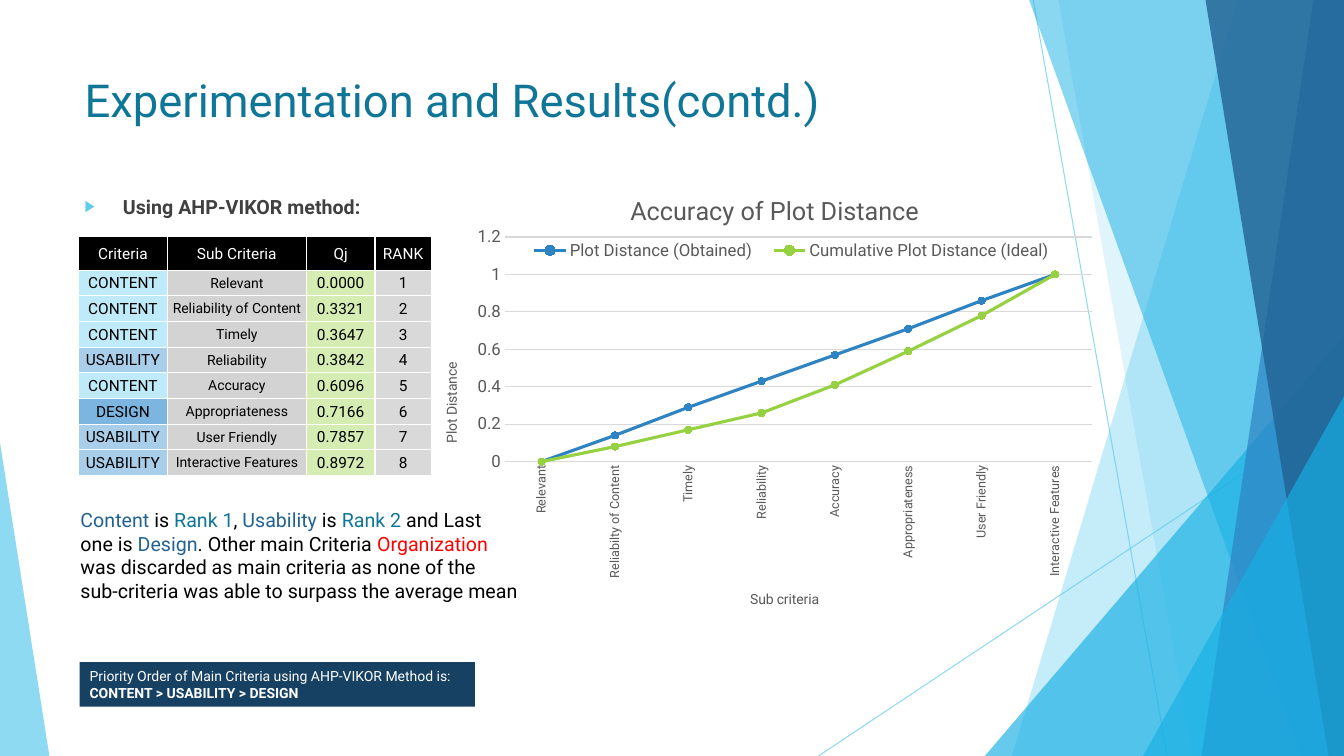
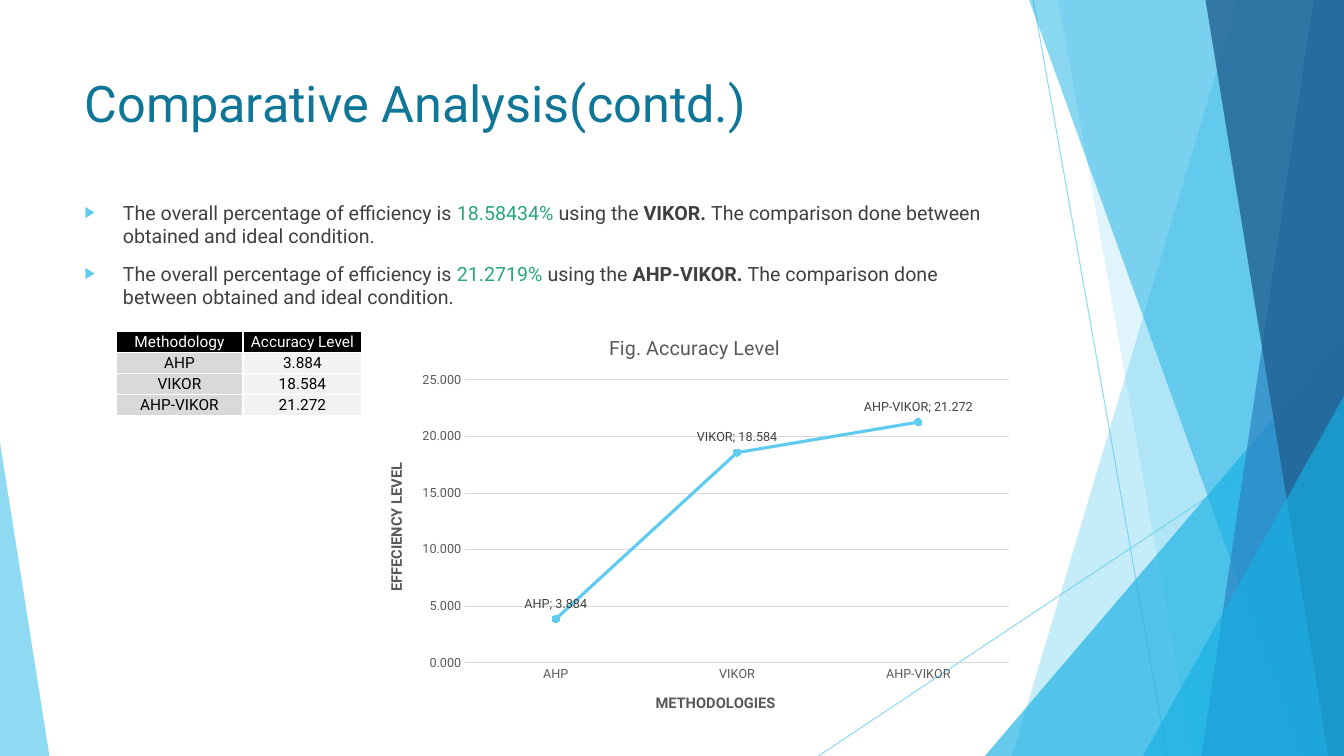
import collections

import pptx
import pptx.chart.data
import pptx.dml.color
import pptx.enum.chart
import pptx.enum.shapes
import pptx.enum.text
import pptx.oxml.ns
import pptx.util

qn = pptx.oxml.ns.qn
Pt = pptx.util.Pt
Inches = pptx.util.Inches
SHAPE = pptx.enum.shapes.MSO_SHAPE
ALIGN = pptx.enum.text.PP_ALIGN
ANCHOR = pptx.enum.text.MSO_ANCHOR
WIDE, HIGH = Inches(13.3333), Inches(7.5)
LEFT = 5.55
UPRIGHT = "-5400000"
THEME = dict(
    font="Roboto", text=14, label=12, cell=11, small=10, tick=9,
    title="0F7698", body="404040", gray="595959", grid="D9D9D9", pale="F2F2F2", mid="D3D3D3",
    black="000000", white="FFFFFF", sky="5FCBEF", cyan="17B0E4", blue="2E83C3", deep="226292",
    navy="174162", lime="96D141", mint="D5EDB3", green="29A57D", red="FF0000")
T = collections.namedtuple("Theme", THEME)(**THEME)
GROUPS = {"CONTENT": "BFEAF9", "USABILITY": "A8CEEA", "DESIGN": "7CB5E0"}


def across(share):
    """Length for a percentage of the slide's width."""
    return round(WIDE * share / 100)


def down(share):
    """Length for a percentage of the slide's height."""
    return round(HIGH * share / 100)


def area(left, top, width, height):
    return across(left), down(top), across(width), down(height)


def rgb(code):
    return pptx.dml.color.RGBColor.from_string(code)


def style(font, size=T.text, color=T.black, bold=False):
    font.name, font.size, font.bold = T.font, Pt(size), bold
    font.color.rgb = rgb(color)


def write(para, text, **form):
    """Add a run of text, formatted by size, color and bold."""
    run = para.add_run()
    run.text = text
    style(run.font, **form)


def fill_lines(frame, lines, **form):
    """Write lines, each a list of (text, changes to the format)."""
    frame.word_wrap = True
    for row, line in enumerate(lines):
        para = frame.add_paragraph() if row else frame.paragraphs[0]
        para.alignment = ALIGN.LEFT
        for text, change in line:
            write(para, text, **{**form, **change})
    return frame.paragraphs


def node(tag, **attrs):
    item = pptx.oxml.parse_xml(f"<{tag} {pptx.oxml.ns.nsdecls(tag[0])}/>")
    for key, value in attrs.items():
        item.set(key, str(value))
    return item


def fade(shape, share):
    for color in shape._element.spPr.iter(qn("a:srgbClr")):
        color.append(node("a:alpha", val=share * 1000))


def paint(shape, color, share=100):
    shape.shadow.inherit = False
    shape.fill.solid()
    shape.fill.fore_color.rgb = rgb(color)
    shape.line.fill.background()
    if share < 100:
        fade(shape, share)
    return shape


def draw_ray(slide, start, end):
    ray = slide.shapes.add_connector(
        pptx.enum.shapes.MSO_CONNECTOR.STRAIGHT,
        across(start[0]), down(start[1]), across(end[0]), down(end[1]))
    ray.line.color.rgb, ray.line.width = rgb(T.sky), Pt(0.75)
    fade(ray, 70)
    ray._element.spPr.append(node("a:effectLst"))
    return ray


def draw_band(slide, top, foot, color, share):
    """Fill from a slanted edge to the slide's right side."""
    build = slide.shapes.build_freeform(across(top), 0, scale=1.0)
    build.add_line_segments([(WIDE, 0), (WIDE, HIGH), (across(foot), HIGH)])
    return paint(build.convert_to_shape(), color, share)


def draw_wedge(slide, left, top, width, peak, color, share):
    place = area(left, top, width, 100 - top)
    wedge = slide.shapes.add_shape(SHAPE.ISOSCELES_TRIANGLE, *place)
    wedge.adjustments[0] = peak
    return paint(wedge, color, share)


def add_backdrop(slide):
    """Draw the facets and hand them to the layout that slides share."""
    facets = [
        draw_ray(slide, (76.88, 0), (86.85, 100)),
        draw_ray(slide, (100, 53.73), (60.9, 100)),
        draw_band(slide, 92.1, 75.3, T.sky, 36),
        draw_band(slide, 78.75, 88.73, T.sky, 20),
        draw_wedge(slide, 73.28, 44.4, 26.72, 1, T.cyan, 66),
        draw_band(slide, 76.58, 96.83, T.cyan, 50),
        draw_band(slide, 97.73, 89.4, T.blue, 70),
        draw_band(slide, 89.7, 98.85, T.deep, 80),
        draw_wedge(slide, 85.05, 52.4, 14.95, 1, T.cyan, 66),
        draw_wedge(slide, 0, 58.53, 3.68, 0, T.sky, 70),
    ]
    tree = slide.slide_layout.shapes._spTree
    for place, facet in enumerate(facets):
        item = facet._element
        item.xpath(".//p:cNvPr")[0].set("id", str(50 + place))
        tree.insert(2 + place, item)


def set_holder(holder, place, lines, **form):
    holder.left, holder.top, holder.width, holder.height = place
    frame = holder.text_frame
    frame.auto_size = pptx.enum.text.MSO_AUTO_SIZE.NONE
    frame.vertical_anchor = ANCHOR.TOP
    return fill_lines(frame, lines, **form)


def add_title(slide, text, size):
    place = area(LEFT, 8.93, 70.5, 16.93)
    set_holder(slide.shapes.title, place, [[(text, {})]], size=size, color=T.title)


def add_bullets(slide, top, lines):
    place = area(LEFT, top, 70.5, 62.27)
    indent = Inches(0.38)
    for row, para in enumerate(set_holder(slide.placeholders[1], place, lines, color=T.body)):
        props = para._p.get_or_add_pPr()
        props.set("marL", str(indent))
        props.set("indent", str(-indent))
        tint = node("a:buClr")
        tint.append(node("a:srgbClr", val=T.sky))
        props.extend([tint, node("a:buSzPct", val=80000), node("a:buChar", char="▶")])
        para.space_before = Pt(10 if row else 0)


def set_cell(cell, text, fill, **form):
    cell.fill.solid()
    cell.fill.fore_color.rgb = rgb(fill)
    cell.margin_left = cell.margin_right = cell.margin_top = Inches(0.01)
    cell.margin_bottom = 0
    cell.vertical_anchor = ANCHOR.MIDDLE
    para = cell.text_frame.paragraphs[0]
    para.alignment = ALIGN.CENTER
    write(para, text, **form)
    props = cell._tc.get_or_add_tcPr()
    for place, side in enumerate("LRTB"):
        edge, solid = node(f"a:ln{side}", w=Pt(1)), node("a:solidFill")
        solid.append(node("a:srgbClr", val=T.white))
        edge.append(solid)
        props.insert(place, edge)


def add_grid(slide, spot, cols, tall, rows, fills, sizes):
    """Add a table; tall gives the heights of the head and other rows."""
    head, rest = tall
    place = area(*spot, sum(cols), head + rest * (len(rows) - 1))
    table = slide.shapes.add_table(len(rows), len(cols), *place).table
    for col, width in zip(table.columns, cols):
        col.width = across(width)
    for r, row in enumerate(rows):
        table.rows[r].height = down(rest if r else head)
        for c, text in enumerate(row):
            look = dict(fill=T.black, size=T.cell, color=T.white)
            if r:
                look = dict(fill=GROUPS.get(text, fills[c]), size=sizes[c])
            set_cell(table.cell(r, c), text, **look)


def set_layout(parent, after, inner, shares):
    """Place a chart's plot or legend by shares of the chart's size."""
    for old in parent.findall(qn("c:layout")):
        parent.remove(old)
    layout, manual = node("c:layout"), node("c:manualLayout")
    if inner:
        manual.append(node("c:layoutTarget", val="inner"))
    manual.extend([node(f"c:{axis}Mode", val="edge") for axis in "xy"])
    manual.extend([node(f"c:{key}", val=val) for key, val in zip("xywh", shares)])
    layout.append(manual)
    parent.insert(after, layout)


def set_axis(axis, title, ticks, **form):
    frame = axis.axis_title.text_frame
    write(frame.paragraphs[0], title, color=T.gray, **form)
    style(axis.tick_labels.font, size=ticks, color=T.gray)
    axis.major_tick_mark = pptx.enum.chart.XL_TICK_MARK.NONE
    return frame._txBody.bodyPr


def set_line(line, color, width):
    line.color.rgb, line.width = rgb(color), Pt(width)


def add_plot(slide, place, title, big, cats, lines, names, plot, top, step,
             ticks=T.tick, code="General", **form):
    """Add a line chart; lines holds (name, colour, values), form is for axis titles."""
    data = pptx.chart.data.CategoryChartData(number_format=code)
    data.categories = cats
    for name, _, vals in lines:
        data.add_series(name, vals)
    kind = pptx.enum.chart.XL_CHART_TYPE.LINE_MARKERS
    chart = slide.shapes.add_chart(kind, *area(*place), data).chart
    style(chart.font, size=T.small)
    chart.has_legend = False
    write(chart.chart_title.text_frame.paragraphs[0], title, size=big, color=T.gray)
    chart.plots[0].vary_by_categories = False
    for series, (_, color, _) in zip(chart.series, lines):
        series.smooth = False
        set_line(series.format.line, color, 2.25)
        mark = series.marker
        mark.style, mark.size = pptx.enum.chart.XL_MARKER_STYLE.CIRCLE, 5
        mark.format.fill.solid()
        mark.format.fill.fore_color.rgb = rgb(color)
        mark.format.line.color.rgb = rgb(color)
    base, side = chart.category_axis, chart.value_axis
    set_axis(base, names[0], T.tick, **form)
    set_axis(side, names[1], ticks, **form).set("rot", UPRIGHT)
    set_line(base.format.line, T.grid, 0.75)
    side.format.line.fill.background()
    set_line(side.major_gridlines.format.line, T.grid, 0.75)
    side.minimum_scale, side.maximum_scale, side.major_unit = 0, top, step
    side.tick_labels.number_format = code
    side.tick_labels.number_format_is_linked = False
    set_layout(chart._chartSpace.chart.plotArea, 0, True, plot)
    return chart


def add_legend(chart, shares):
    chart.has_legend = True
    chart.legend.position = pptx.enum.chart.XL_LEGEND_POSITION.BOTTOM
    chart.legend.include_in_layout = False
    style(chart.legend.font, size=T.label, color=T.gray)
    set_layout(chart.legend._element, 1, False, shares)


def add_labels(series, code):
    tags = series.data_labels
    tags.show_value = tags.show_category_name = True
    tags.position = pptx.enum.chart.XL_LABEL_POSITION.ABOVE
    tags.number_format, tags.number_format_is_linked = code, False
    style(tags.font, size=T.tick, color=T.body)


def show_results(slide):
    add_title(slide, "Experimentation and Results(contd.)", 32.4)
    add_bullets(slide, 25.07, [[("Using AHP-VIKOR method:", {"bold": True})]])
    cats = ["Relevant", "Reliabilty of Content", "Timely", "Reliability", "Accuracy",
            "Appropriateness", "User Friendly", "Interactive Features"]
    lines = [("Plot Distance (Obtained)", T.blue, [0, 0.14, 0.29, 0.43, 0.57, 0.71, 0.86, 1]),
             ("Cumulative Plot Distance (Ideal)", T.lime,
              [0, 0.08, 0.17, 0.26, 0.41, 0.59, 0.78, 1])]
    chart = add_plot(slide, (32.55, 23.2, 50.18, 58.27), "Accuracy of Plot Distance", 18, cats,
                     lines, ("Sub criteria", "Plot Distance"), (0.1, 0.14, 0.87, 0.51),
                     1.2, 0.2, ticks=T.label, size=T.small)
    labels = chart.category_axis._element.find(qn("c:txPr"))
    labels.find(qn("a:bodyPr")).set("rot", UPRIGHT)
    add_legend(chart, (0.12, 0.14, 0.81, 0.06))
    kinds = ["CONTENT"] * 3 + ["USABILITY", "CONTENT", "DESIGN"] + ["USABILITY"] * 2
    subs = [cats[0], "Reliability of Content", *cats[2:]]
    scores = "0.0000 0.3321 0.3647 0.3842 0.6096 0.7166 0.7857 0.8972".split()
    rows = [("Criteria", "Sub Criteria", "Qj", "RANK"), *zip(kinds, subs, scores, "12345678")]
    add_grid(slide, (5.85, 31.33), (6.6, 10.35, 5.1, 4.2), (4.4, 3.4), rows,
             (T.white, T.mid, T.mint, T.grid), (T.cell, T.small, T.cell, T.cell))
    banner = slide.shapes.add_shape(SHAPE.RECTANGLE, *area(5.93, 87.6, 29.4, 5.87))
    fill_lines(paint(banner, T.navy).text_frame, [
        [("Priority Order of Main Criteria using AHP-VIKOR Method is:", {})],
        [("CONTENT > USABILITY > DESIGN", {"bold": True})],
    ], size=T.small, color=T.white)
    deep, teal = {"color": T.deep}, {"color": T.title}
    note = slide.shapes.add_textbox(*area(5.25, 66.53, 34.65, 13.87))
    fill_lines(note.text_frame, [
        [("Content", deep), (" is ", {}), ("Rank 1", teal), (", ", {}),
         ("Usability", deep), (" is ", {}), ("Rank 2", teal), (" and Last", {})],
        [("one is ", {}), ("Design", deep), (". Other main Criteria ", {}),
         ("Organization", {"color": T.red})],
        [("was discarded as main criteria as none of the", {})],
        [("sub-criteria was able to surpass the average mean", {})],
    ])


def show_compare(slide):
    add_title(slide, "Comparative Analysis(contd.)", 36)
    add_bullets(slide, 25.87, [
        [("The overall percentage of efficiency is ", {}), (share, {"color": T.green}),
         (" using the ", {}), (f"{name}. ", {"bold": True}),
         ("The comparison done between obtained and ideal condition.", {})]
        for share, name in [("18.58434%", "VIKOR"), ("21.2719%", "AHP-VIKOR")]])
    levels = {"AHP": 3.884, "VIKOR": 18.584, "AHP-VIKOR": 21.272}
    rows = [("Methodology", "Accuracy Level"), *((k, f"{v:.3f}") for k, v in levels.items())]
    add_grid(slide, (8.63, 43.87), (9.45, 8.85), (2.77, 2.77), rows,
             (T.grid, T.pale), (T.cell, T.cell))
    chart = add_plot(slide, (27.3, 42, 48.75, 55.07), "Fig. Accuracy Level", T.text,
                     list(levels), [("Series 1", T.sky, list(levels.values()))],
                     ("METHODOLOGIES", "EFFECIENCY LEVEL"), (0.15, 0.15, 0.83, 0.68),
                     25, 5, code="0.000", size=10.5, bold=True)
    add_labels(chart.series[0], "0.000")


def main():
    deck = pptx.Presentation()
    deck.slide_width, deck.slide_height = WIDE, HIGH
    first, second = (deck.slides.add_slide(deck.slide_layouts[1]) for _ in range(2))
    add_backdrop(first)
    show_results(first)
    show_compare(second)
    deck.save("out.pptx")


if __name__ == "__main__":
    main()
